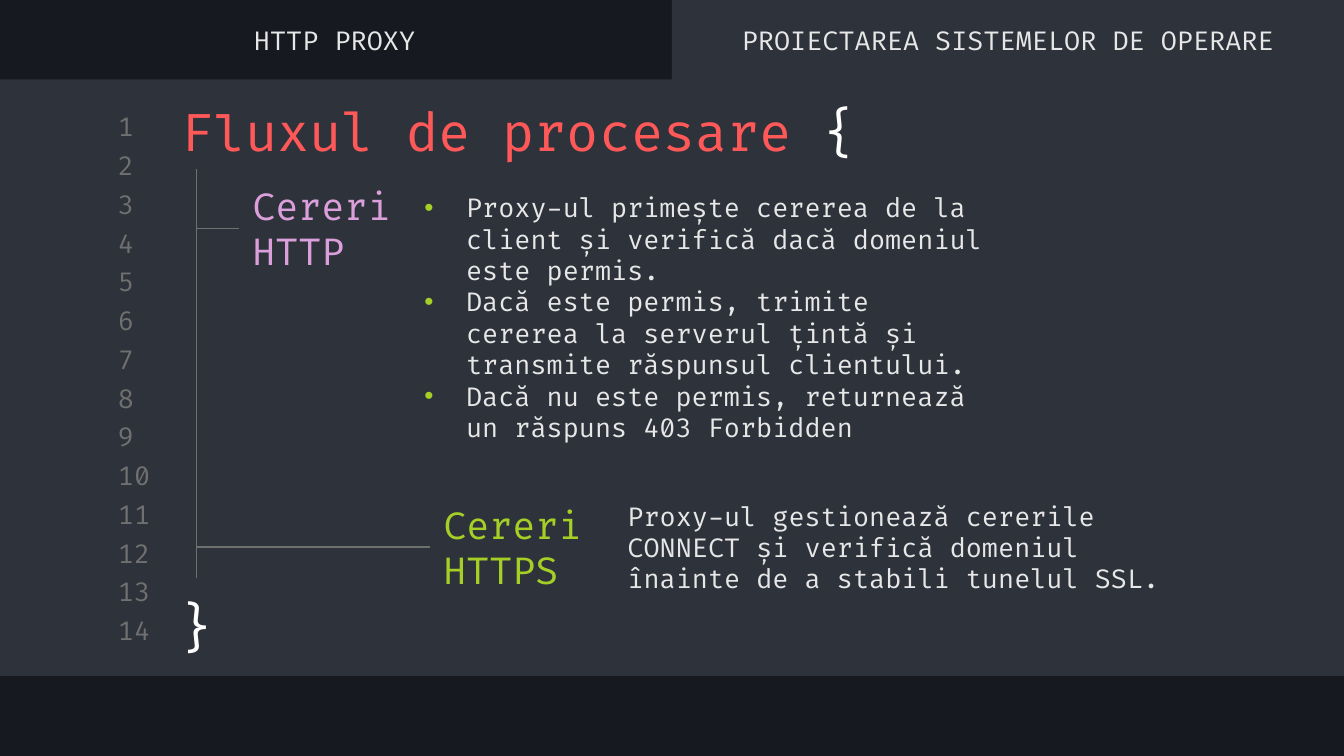
from lxml import etree
from pptx import Presentation
from pptx.dml.color import RGBColor
from pptx.enum.shapes import MSO_CONNECTOR, MSO_SHAPE
from pptx.enum.text import MSO_ANCHOR as ANCHOR, PP_ALIGN as ALIGN
from pptx.oxml.ns import qn
from pptx.util import Inches, Pt

FONT = "Fira Code"
DARK = RGBColor(0x16, 0x19, 0x1F)
PANEL = RGBColor(0x2E, 0x32, 0x3B)
GRAY = RGBColor(0x70, 0x70, 0x70)
LIGHT = RGBColor(0xE7, 0xE7, 0xE7)
WHITE = RGBColor(0xFF, 0xFF, 0xFF)
RED = RGBColor(0xFF, 0x58, 0x58)
PINK = RGBColor(0xDB, 0xA0, 0xDB)
GREEN = RGBColor(0xA5, 0xCF, 0x27)

# 16:9 slide
prs = Presentation()
prs.slide_width, prs.slide_height = Inches(10), Inches(10 * 9 / 16)
s = prs.slides.add_slide(prs.slide_layouts[6])
s.background.fill.solid()
s.background.fill.fore_color.rgb = DARK


def add_text(box, text, size, color, align=ALIGN.LEFT, anchor=ANCHOR.MIDDLE):
    """Add a text box; each line of text becomes a paragraph."""
    sp = s.shapes.add_textbox(*[Inches(v) for v in box])
    tf = sp.text_frame
    tf.word_wrap = True
    tf.vertical_anchor = anchor
    tf.margin_left = tf.margin_right = Inches(0.1)
    tf.margin_top = tf.margin_bottom = Inches(0.1)
    tf.text = text
    for p in tf.paragraphs:
        p.alignment = align
        for r in p.runs:
            r.font.name, r.font.size, r.font.color.rgb = FONT, Pt(size), color
    return tf


# Editor panel and active tab
for box in [(0, 0.59, 10, 4.44), (5, 0, 5, 0.65)]:
    sp = s.shapes.add_shape(MSO_SHAPE.RECTANGLE, *[Inches(v) for v in box])
    sp.shadow.inherit = False
    sp.fill.solid()
    sp.fill.fore_color.rgb = PANEL
    sp.line.fill.background()

# Line numbers, evenly spread from first to last
for i in range(14):
    add_text((0.78, 0.82 + i * 3.75 / 13, 0.47, 0.24), str(i + 1), 14, GRAY)

# Title with opening brace, and closing brace
tf = add_text((1.25, 0.64, 7.97, 0.59), "Fluxul de procesare ", 28, RED,
              anchor=ANCHOR.TOP)
r = tf.paragraphs[0].add_run()
r.text = "{"
r.font.name, r.font.size, r.font.color.rgb = FONT, Pt(28), WHITE
add_text((1.19, 4.32, 0.55, 0.67), "}", 28, WHITE, ALIGN.CENTER, ANCHOR.TOP)

# HTTP requests
add_text((1.78, 1.38, 1.42, 0.64), "Cereri HTTP", 20, PINK)
steps = [
    "Proxy-ul primește cererea de la client și verifică dacă domeniul este permis.",
    "Dacă este permis, trimite cererea la serverul țintă și transmite răspunsul clientului.",
    "Dacă nu este permis, returnează un răspuns 403 Forbidden",
]
tf = add_text((3.06, 1.44, 4.35, 1.84), "\n".join(steps), 14, LIGHT)
for p in tf.paragraphs:
    pPr = p._p.get_or_add_pPr()
    pPr.set("marL", str(Inches(0.31)))
    pPr.set("indent", str(-Inches(0.31)))
    bullet_color = etree.SubElement(pPr, qn("a:buClr"))
    etree.SubElement(bullet_color, qn("a:srgbClr")).set("val", str(GREEN))
    etree.SubElement(pPr, qn("a:buFont")).set("typeface", "Arial")
    etree.SubElement(pPr, qn("a:buChar")).set("char", "•")

# HTTPS requests
add_text((3.2, 3.75, 1.42, 0.64), "Cereri HTTPS", 20, GREEN)
add_text((4.57, 3.75, 4.35, 0.64),
         "Proxy-ul gestionează cererile CONNECT și verifică domeniul "
         "înainte de a stabili tunelul SSL.", 14, LIGHT)

# Tab labels
for x, label in [(-0.01, "HTTP PROXY"), (5, "PROIECTAREA SISTEMELOR DE OPERARE")]:
    add_text((x, 0.1, 5, 0.39), label, 14, LIGHT, ALIGN.CENTER)

# Code tree: trunk and two branches
for ends in [(1.46, 1.26, 1.46, 4.3), (1.46, 1.7, 1.78, 1.7), (1.46, 4.07, 3.2, 4.07)]:
    line = s.shapes.add_connector(MSO_CONNECTOR.STRAIGHT, *[Inches(v) for v in ends])
    line.line.color.rgb = GRAY
    line.line.width = Pt(0.75)
    etree.SubElement(line._element.spPr, qn("a:effectLst"))

prs.save("out.pptx")
